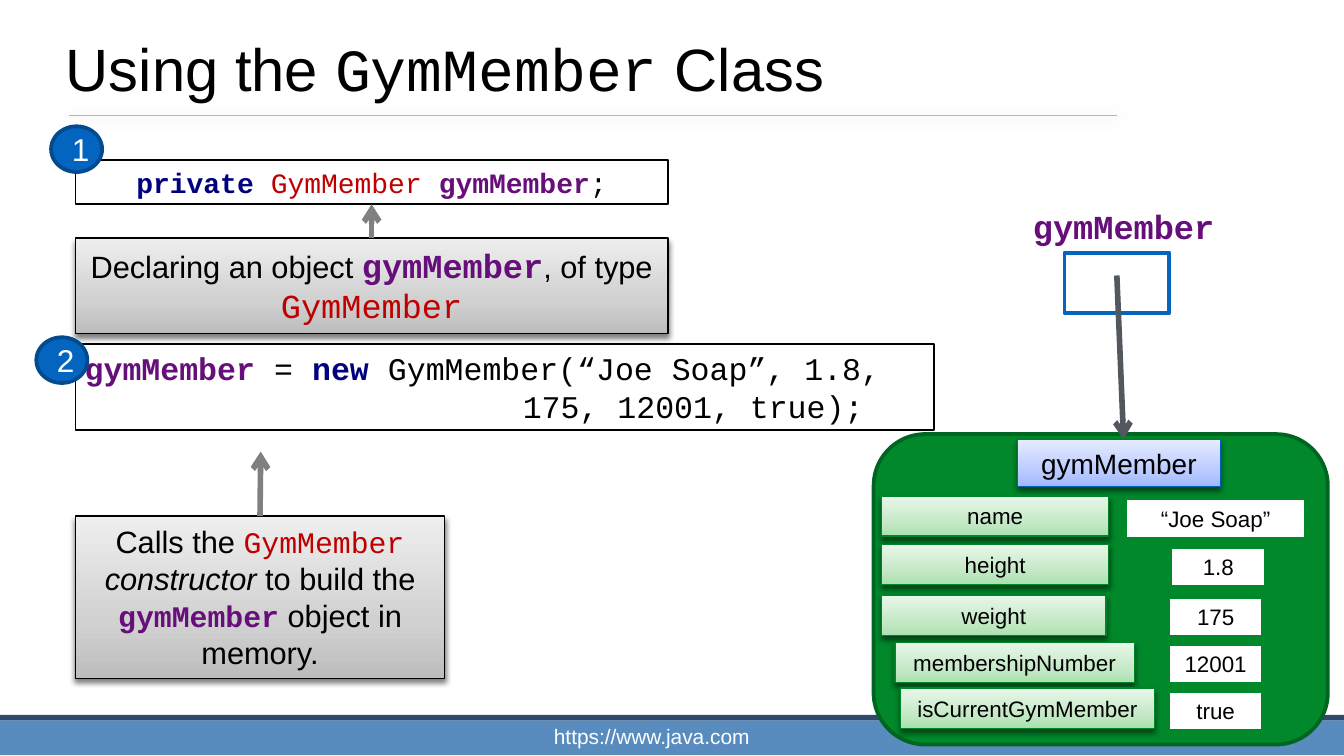
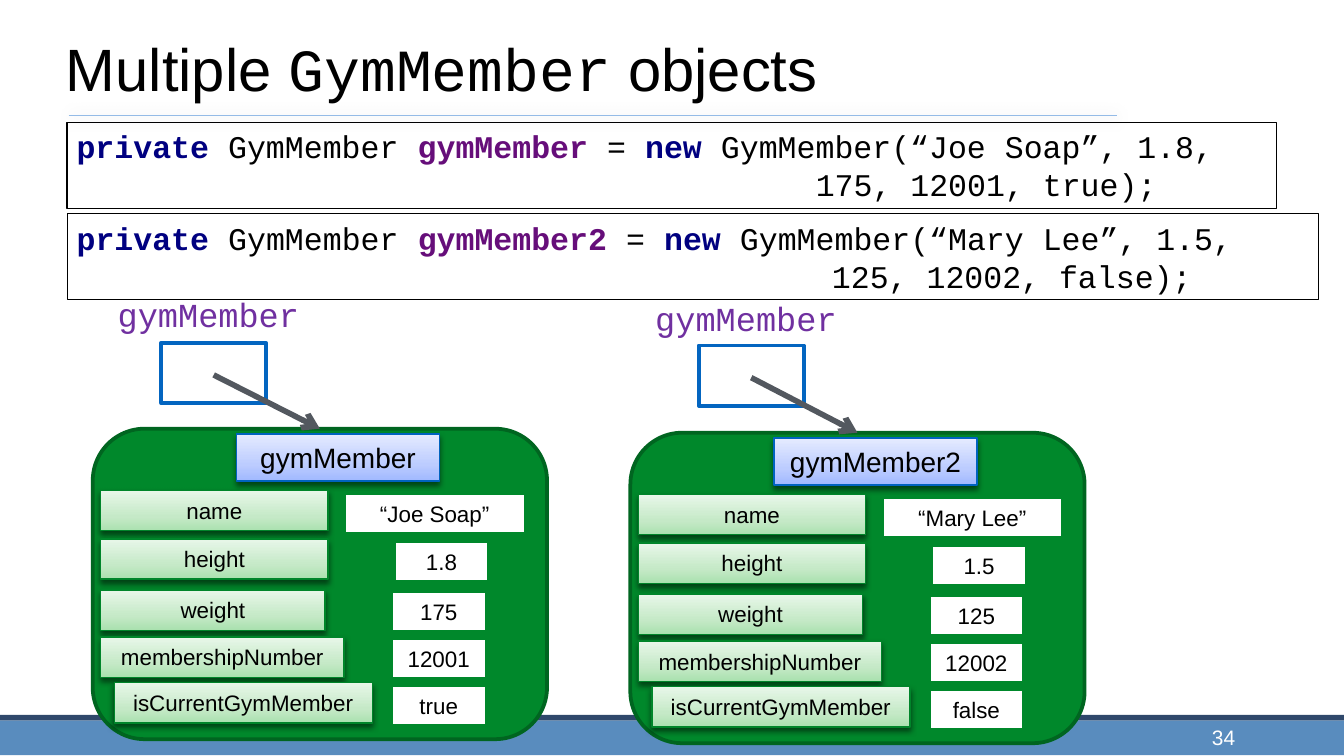
import pptx
import pptx.util
import pptx.dml.color
import pptx.enum.shapes
import pptx.enum.text
import pptx.oxml
import pptx.oxml.ns
from lxml import etree

Inches, Pt = pptx.util.Inches, pptx.util.Pt
color = pptx.dml.color.RGBColor.from_string
qn = pptx.oxml.ns.qn
SHAPE = pptx.enum.shapes.MSO_SHAPE
ALIGN = pptx.enum.text.PP_ALIGN
ANCHOR = pptx.enum.text.MSO_ANCHOR
FIT = pptx.enum.text.MSO_AUTO_SIZE

# Colours and run formats
BLUE, GREEN, WHITE, BLACK = "0365C0", "00882B", "FFFFFF", "000000"
SANS, MONO = "Arial", "Courier New"
KEYWORD = {"color": "000080", "bold": True}
VARIABLE = {"color": "660E7A", "bold": True}
TYPE = {"color": "C00000"}
PLAIN = {}

# Looks of the boxes
SOFT_SHADOW = (BLACK, 50, 3, 2, 90)
RULE_SHADOW = ("003D62", 20, 8, 1, 45)
TIGHT, EVEN = (0.07, 0.04, 0.07, 0.04), (0.06, 0.06, 0.06, 0.06)
TITLE = {"anchor": ANCHOR.BOTTOM, "inset": EVEN, "align": ALIGN.LEFT, "fit": FIT.NONE,
         "font": {"size": 32, "name": SANS}}
BAND = {"shape": SHAPE.RECTANGLE, "fill": "598CBE"}
BAND_EDGE = {**BAND, "fill": "2F486B"}
LABEL = {"font": {"size": 18, "name": MONO}}
REFERENCE = {"shape": SHAPE.RECTANGLE, "fill": WHITE, "line": (BLUE, 2)}
CODE = {"shape": SHAPE.RECTANGLE, "fill": WHITE, "line": (BLACK, 0.75),
        "anchor": ANCHOR.MIDDLE, "inset": TIGHT, "align": ALIGN.LEFT,
        "font": {"size": 16.9, "name": MONO}}
SHORT_CODE = {**CODE, "align": ALIGN.CENTER, "font": {"size": 15, "name": MONO}}
NOTE = {"shape": SHAPE.RECTANGLE, "fill": ("BDBDBD", "D1D1D1", "EEEEEE"),
        "line": (BLACK, 0.75), "shadow": SOFT_SHADOW, "font": {"size": 16.5, "name": SANS}}
BADGE = {"shape": SHAPE.OVAL, "fill": BLUE, "line": ("024B8E", 2), "anchor": ANCHOR.MIDDLE,
         "fit": FIT.NONE, "font": {"size": 16.9, "name": SANS, "color": WHITE}}
CARD = {"shape": SHAPE.ROUNDED_RECTANGLE, "fill": GREEN, "line": ("006520", 2)}
FIELD = {**NOTE, "fill": ("AAE1AF", "C5E9C7", "E8F7E9"), "line": ("00852A", 0.75),
         "font": {"size": 12, "name": SANS}}
HEADING = {**NOTE, "fill": ("A0B8FF", "BCCCFF", "E5EBFF"), "line": ("0063BF", 0.75),
           "font": {"size": 15, "name": SANS}}
VALUE = {"shape": SHAPE.RECTANGLE, "fill": WHITE, "line": (GREEN, 2),
         "font": {"size": 12, "name": SANS}}
FOOTER = {"anchor": ANCHOR.BOTTOM, "inset": (0.08, 0.04, 0.08, 0.04), "fit": FIT.NONE,
          "font": {"size": 11.2, "name": SANS, "color": WHITE}}
NUMBER = {**FOOTER, "inset": EVEN, "align": ALIGN.RIGHT}


def draw_box(page, at, look, spans=(), box=None, hanging=0):
    """Draw a box with one paragraph of (text, format) spans."""
    place = [Inches(length) for length in at]
    if box is not None:
        box.left, box.top, box.width, box.height = place
    elif "shape" in look:
        box = page.shapes.add_shape(look["shape"], *place)
        box.shadow.inherit = False
        if isinstance(look["fill"], str):
            box.fill.solid()
            box.fill.fore_color.rgb = color(look["fill"])
        else:
            box.fill.gradient()
            box.fill.gradient_angle = 90
            stops = box.element.spPr.find(qn("a:gradFill")).find(qn("a:gsLst"))
            stops.clear()
            for position, shade in zip((0, 35, 100), look["fill"]):
                stop = etree.SubElement(stops, qn("a:gs"), pos=str(position * 1000))
                etree.SubElement(stop, qn("a:srgbClr"), val=shade)
        if "line" in look:
            box.line.color.rgb = color(look["line"][0])
            box.line.width = Pt(look["line"][1])
        else:
            box.line.fill.background()
        if "shadow" in look:
            add_shadow(box.element.spPr.find(qn("a:effectLst")), look["shadow"])
    else:
        box = page.shapes.add_textbox(*place)
    if not spans:
        return box

    frame = box.text_frame
    frame.word_wrap = True
    frame.auto_size = look.get("fit", FIT.SHAPE_TO_FIT_TEXT)
    frame.vertical_anchor = look.get("anchor", ANCHOR.TOP)
    for side, inset in zip(("left", "top", "right", "bottom"),
                           look.get("inset", (0.1, 0.05, 0.1, 0.05))):
        setattr(frame, "margin_" + side, Inches(inset))
    para = frame.paragraphs[0]
    para.alignment = look.get("align", ALIGN.CENTER)
    if hanging:
        properties = para._p.get_or_add_pPr()
        properties.set("marL", str(Inches(hanging)))
        properties.set("indent", str(-Inches(hanging)))
    for text, extra in spans:
        span = para.add_run()
        span.text = text
        style = {"color": BLACK, "bold": False, **look["font"], **extra}
        span.font.color.rgb = color(style.pop("color"))
        style["size"] = Pt(style["size"])
        for name, value in style.items():
            setattr(span.font, name, value)
    return box


def add_shadow(effects, shadow):
    shade, opacity, blur, distance, angle = shadow
    outer = etree.SubElement(effects, qn("a:outerShdw"), blurRad=str(Pt(blur)),
                             dist=str(Pt(distance)), dir=str(angle * 60000), rotWithShape="0")
    tint = etree.SubElement(outer, qn("a:srgbClr"), val=shade)
    etree.SubElement(tint, qn("a:alpha"), val=str(opacity * 1000))


# A deck of 16 by 9
deck = pptx.Presentation()
deck.slide_width = Inches(10)
deck.slide_height = deck.slide_width * 9 // 16
lines = []  # page, from, to, colour, width, joined start, joined end

# Titles and bands
pages = []
for before, after in (("Using the ", " Class"), ("Multiple ", " objects")):
    page = deck.slides.add_slide(deck.slide_layouts[5])
    pages.append(page)
    draw_box(page, (0, 5.36, 10, 0.26), BAND)
    draw_box(page, (0, 5.32, 10, 0.04), BAND_EDGE)
    draw_box(page, (0.43, 0, 8.5, 0.83), TITLE,
             [(before, PLAIN), ("GymMember", {"name": MONO}), (after, PLAIN)],
             box=page.shapes.title)
    lines.append((page, (0.51, 0.86), (8.31, 0.86), "94BBE7", 1, None, None))
using, multiple = pages

# Object cards: each has a heading, five fields and their values
FIELDS = ("name", "height", "weight", "membershipNumber", "isCurrentGymMember")
FIELD_TOPS = (0.46, 0.82, 1.2, 1.55, 1.89)
VALUE_TOPS = (0.48, 0.84, 1.21, 1.56, 1.91)
WIDE = ((0.06, 1.69), (0.06, 1.69), (0.06, 1.67), (0.06, 1.81), (0.16, 1.92))
SHIFTED = WIDE[:3] + ((0.16, 1.78), (0.2, 1.89))
JOE = ("“Joe Soap”", "1.8", "175", "12001", "true")
MARY = ("“Mary Lee”", "1.5", "125", "12002", "false")
PURPLE = {"color": "7030A0"}
cards = (
    (using, 6.5, 3.23, "gymMember", VARIABLE, (7.55, 1.48, 1.62, 0.4), (7.92, 1.88), SHIFTED, 2.19, JOE),
    (multiple, 0.69, 3.19, "gymMember", PURPLE, (0.74, 2.14, 1.62, 0.4), (1.2, 2.55), WIDE, 2.22, JOE),
    (multiple, 4.69, 3.22, "gymMember2", PURPLE, (4.74, 2.17, 1.62, 0.71), (5.2, 2.57), WIDE, 2.22, MARY),
)
for page, left, top, name, style, label_at, corner, columns, value_left, values in cards:
    draw_box(page, label_at, LABEL, [(name, style)])
    draw_box(page, (*corner, 0.78, 0.45), REFERENCE)
    card = draw_box(page, (left, top, 3.38, 2.31), CARD)
    draw_box(page, (left + 1.07, top + 0.04, 1.51, 0.35), HEADING, [(name, PLAIN)])
    for row, (field, value) in enumerate(zip(FIELDS, values)):
        offset, width = columns[row]
        draw_box(page, (left + offset, top + FIELD_TOPS[row], width, 0.3), FIELD,
                 [(field, PLAIN)])
        offset, width = (value_left, 0.71) if row else (1.87, 1.35)
        if row == 1:
            offset += 0.02
        draw_box(page, (left + offset, top + VALUE_TOPS[row], width, 0.3), VALUE,
                 [(value, PLAIN)])
    if page is using:
        lines.append((page, (8.31, 2.05), (8.36, 3.27), "53585F", 3, None, None))
    else:
        start = (corner[0] + 0.39, corner[1] + 0.24)
        lines.append((page, start, (left + 1.69, top), "53585F", 3, None, (card, 0)))

# First slide: declaration and constructor call, each with its note
declaration = draw_box(using, (0.56, 1.19, 4.41, 0.33), SHORT_CODE, [
    ("private ", KEYWORD), ("GymMember ", TYPE), ("gymMember", VARIABLE), (";", PLAIN)])
draw_box(using, (0.56, 2.56, 6.39, 0.64), CODE, [
    ("gymMember ", VARIABLE), ("= ", PLAIN), ("new ", KEYWORD),
    ("GymMember(“Joe Soap”, 1.8, 175, 12001, true);", PLAIN)], hanging=3.26)
big, small = {"size": 18, "name": MONO}, {"size": 16, "name": MONO}
declaring = draw_box(using, (0.56, 1.77, 4.41, 0.71), NOTE, [
    ("Declaring an object ", PLAIN), ("gymMember", {**VARIABLE, **big}),
    (", of type ", PLAIN), ("GymMember", {**TYPE, **big})])
calling = draw_box(using, (0.56, 3.84, 2.75, 1.21), NOTE, [
    ("Calls the ", PLAIN), ("GymMember", {**TYPE, **small}), (" ", PLAIN),
    ("constructor", {"italic": True}), (" to build the ", PLAIN),
    ("gymMember", {**VARIABLE, **small}), (" object in memory.", PLAIN)])
lines.append((using, (2.77, 1.77), (2.77, 1.52), "808080", 3, (declaring, 0), (declaration, 2)))
lines.append((using, (1.94, 3.84), (1.94, 3.36), "808080", 3, (calling, 0), None))
for step, left, top in (("1", 0.38, 0.94), ("2", 0.27, 2.51)):
    draw_box(using, (left, top, 0.38, 0.34), BADGE, [(step, PLAIN)])
draw_box(using, (3.52, 5.35, 2.66, 0.26), FOOTER, [("https://www.java.com", PLAIN)])

# Second slide: two constructor calls
for top, width, name, call, hanging in (
        (0.91, 9, "gymMember ", "GymMember(“Joe Soap”, 1.8, 175, 12001, true);", 5.5),
        (1.59, 9.31, "gymMember2 ", "GymMember(“Mary Lee”, 1.5, 125, 12002, false);", 5.62)):
    draw_box(multiple, (0.5, top, width, 0.64), CODE, [
        ("private", KEYWORD), (" GymMember ", PLAIN), (name, VARIABLE), ("= ", PLAIN),
        ("new ", KEYWORD), (call, PLAIN)], hanging=hanging)
draw_box(multiple, (7.17, 5.33, 2.08, 0.31), NUMBER, [("34", PLAIN)])

# Title rules and arrows
for page, start, end, shade, width, joined_start, joined_end in lines:
    line = page.shapes.add_connector(pptx.enum.shapes.MSO_CONNECTOR.STRAIGHT,
                                     *[Inches(length) for length in start + end])
    line.line.color.rgb = color(shade)
    line.line.width = Pt(width)
    if joined_start:
        line.begin_connect(*joined_start)
    if joined_end:
        line.end_connect(*joined_end)
    effects = etree.SubElement(line.element.spPr, qn("a:effectLst"))
    if width == 1:
        add_shadow(effects, RULE_SHADOW)
    else:
        etree.SubElement(line.element.spPr.find(qn("a:ln")), qn("a:tailEnd"), type="arrow")

deck.save("out.pptx")
